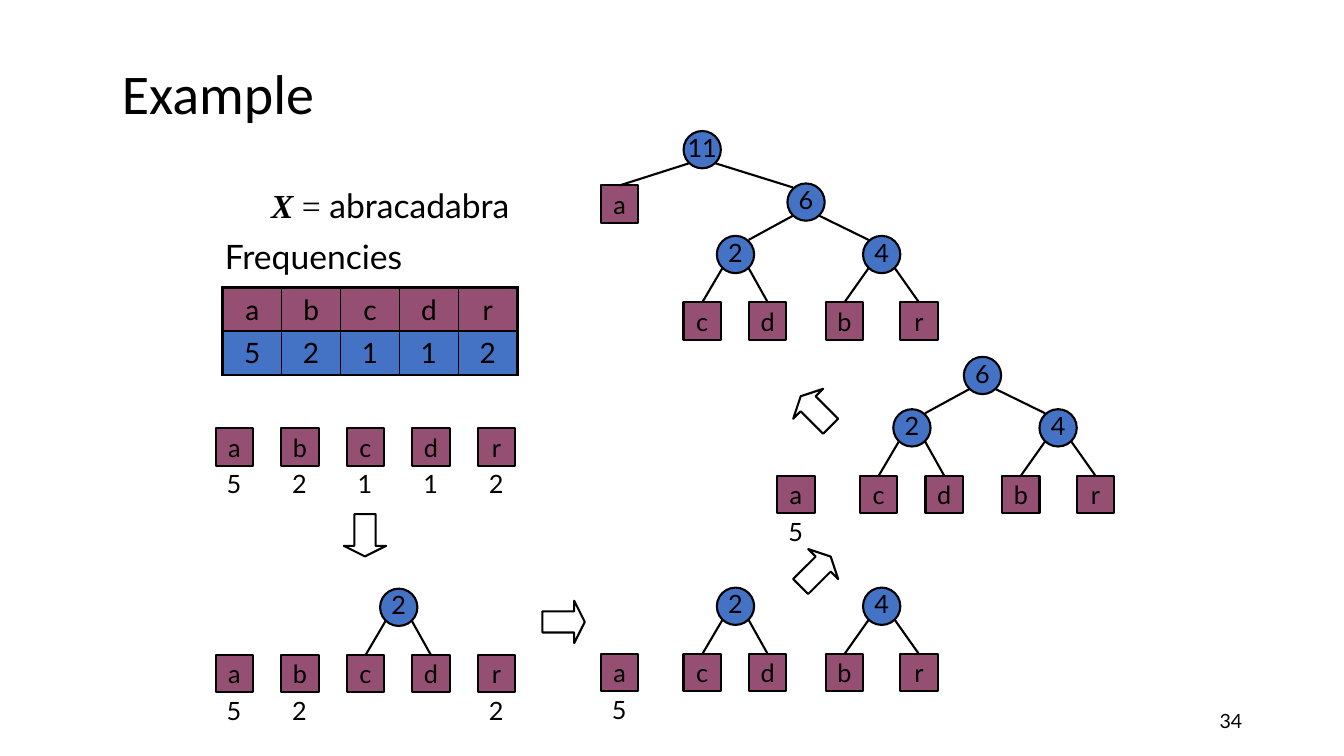
"""Build a slide that grows a Huffman tree for one word, step by step."""
import lxml.etree
import pptx
import pptx.dml.color
import pptx.enum.shapes
import pptx.enum.text
import pptx.oxml.ns
import pptx.util

Inches = pptx.util.Inches
Pt = pptx.util.Pt
MSO = pptx.enum.shapes.MSO_SHAPE
ALIGN = pptx.enum.text.PP_ALIGN
MID = pptx.enum.text.MSO_ANCHOR.MIDDLE
qn = pptx.oxml.ns.qn
HEX = {"ink": "000000", "leaf": "954F72", "node": "4472C4"}
INK, LEAF, NODE = [pptx.dml.color.RGBColor.from_string(HEX[k]) for k in HEX]


def write(frame, words, size, align=ALIGN.CENTER, face="Lato", wrap=False):
    """Put one styled paragraph in a text frame."""
    frame.word_wrap = wrap
    para = frame.paragraphs[0]
    para.text = words
    para.alignment = align
    para.font.size = Pt(size)
    para.font.name = face
    para.font.color.rgb = INK
    return para


def draw(group, kind, left, top, size, fill=None):
    """Add a square-framed shape with a black outline."""
    shape = group.add_shape(kind, Inches(left), Inches(top), Inches(size), Inches(size))
    shape.shadow.inherit = False
    shape.line.color.rgb = INK
    shape.line.width = Pt(1.5)
    if fill is None:
        shape.fill.background()
    else:
        shape.fill.solid()
        shape.fill.fore_color.rgb = fill
    return shape


deck = pptx.Presentation()
deck.slide_width = Inches(13.33)
deck.slide_height = Inches(7.5)
shapes = deck.slides.add_slide(deck.slide_layouts[6]).shapes

page = shapes.add_textbox(Inches(9.42), Inches(6.95), Inches(3), Inches(0.4)).text_frame
page.vertical_anchor = MID
write(page, "34", 14, ALIGN.RIGHT, wrap=True)

title = shapes.add_textbox(Inches(1.11), Inches(0.33), Inches(6.99), Inches(1.25)).text_frame
title.vertical_anchor = MID
write(title, "Example", 40, ALIGN.LEFT, "Calibri", True).line_spacing = 0.9

word = shapes.add_textbox(Inches(2.55), Inches(1.79), Inches(2.64), Inches(0.5)).text_frame
para = write(word, "", 24, face="Times New Roman", wrap=True)
for part in ("X ", "=", " abracadabra"):
    para.add_run().text = part
para.runs[0].font.bold = para.runs[0].font.italic = True
para.runs[2].font.name = "Lato"

label = shapes.add_textbox(Inches(2.13), Inches(2.29), Inches(1.96), Inches(0.5))
write(label.text_frame, "Frequencies", 24)

rows = ["abcdr", "52112"]
table = shapes.add_table(2, 5, Inches(2.21), Inches(2.85), Inches(2.92), Inches(0.87)).table
for r, row in enumerate(rows):
    for c, mark in enumerate(row):
        cell = table.cell(r, c)
        write(cell.text_frame, mark, 20, wrap=True)
        cell.fill.solid()
        cell.fill.fore_color.rgb = (LEAF, NODE)[r]
        props = cell._tc.get_or_add_tcPr()
        outer = {"lnL": c == 0, "lnR": c == 4, "lnT": r == 0, "lnB": r == 1}
        for i, (side, edge) in enumerate(outer.items()):
            line = lxml.etree.Element(qn("a:" + side), w=str(Pt(2.25 if edge else 1)))
            fill = lxml.etree.SubElement(line, qn("a:solidFill"))
            lxml.etree.SubElement(fill, qn("a:srgbClr"), val=HEX["ink"])
            props.insert(i, line)

size = 0.37
apex = {"c": "2", "d": "2", "b": "4", "r": "4", "2": "6", "4": "6", "a": "11", "6": "11"}
spots = {
    "a": (-1.15, 0.66), "c": (-0.33, 0.66), "d": (0.32, 0.66), "b": (1.08, 0.66),
    "r": (1.82, 0.66), "2": (0, 0), "4": (1.45, 0), "6": (0.7, -0.52), "11": (-0.33, -1.04),
}
early = {**spots, "a": (-1.63, 0.66), "b": (-0.98, 0.66), "r": (0.97, 0.66)}
final = {**spots, "a": (-1.15, -0.5)}
stages = [
    (3.77, 3.59, early, "a b c d r", "abcdr"),
    (3.77, 5.84, early, "a b c d r 2", "abr"),
    (7.11, 5.83, spots, "a b c d r 2 4", "a"),
    (8.86, 4.06, spots, "a b c d r 2 4 6", "a"),
    (7.11, 2.34, final, "a b c d r 2 4 6 11", ""),
]
for left, top, plan, names, roots in stages:
    group = shapes.add_group_shape().shapes
    made = {}
    for name in names.split():
        x, y = left + plan[name][0], top + plan[name][1]
        leaf = name.isalpha()
        shape = draw(group, MSO.RECTANGLE if leaf else MSO.OVAL, x, y, size, LEAF if leaf else NODE)
        frame = shape.text_frame
        frame.vertical_anchor = MID
        write(frame, name, 18)
        if not leaf:
            frame.margin_left = frame.margin_right = frame.margin_top = 0
        made[name] = shape, x + size / 2, y
        if name in roots:
            count = group.add_textbox(Inches(x + 0.01), Inches(y + 0.35), Inches(0.34), Inches(0.4))
            write(count.text_frame, rows[1][rows[0].index(name)], 18)
    for name, (shape, x, y) in made.items():
        if apex.get(name) not in made:
            continue
        _, px, py = made[apex[name]]
        lean = 0.13 if x > px else -0.13
        if not name.isalpha():
            x, y = x - lean, y + 0.04
        edge = group.add_connector(
            pptx.enum.shapes.MSO_CONNECTOR.STRAIGHT,
            Inches(x), Inches(y), Inches(px + lean), Inches(py + 0.32))
        edge.line.color.rgb = INK
        edge.line.width = Pt(1.5)
        lxml.etree.SubElement(edge._element.spPr, qn("a:effectLst"))
        if name.isalpha():
            edge.begin_connect(shape, 0)

for left, top, turn in [(3.41, 5.1, 0), (5.38, 5.96, 270), (7.88, 5.46, 225), (7.88, 3.87, 135)]:
    arrow = draw(shapes, MSO.DOWN_ARROW, left, top, 0.42)
    arrow.adjustments[1] = 0.25
    arrow.rotation = turn

deck.save("out.pptx")
